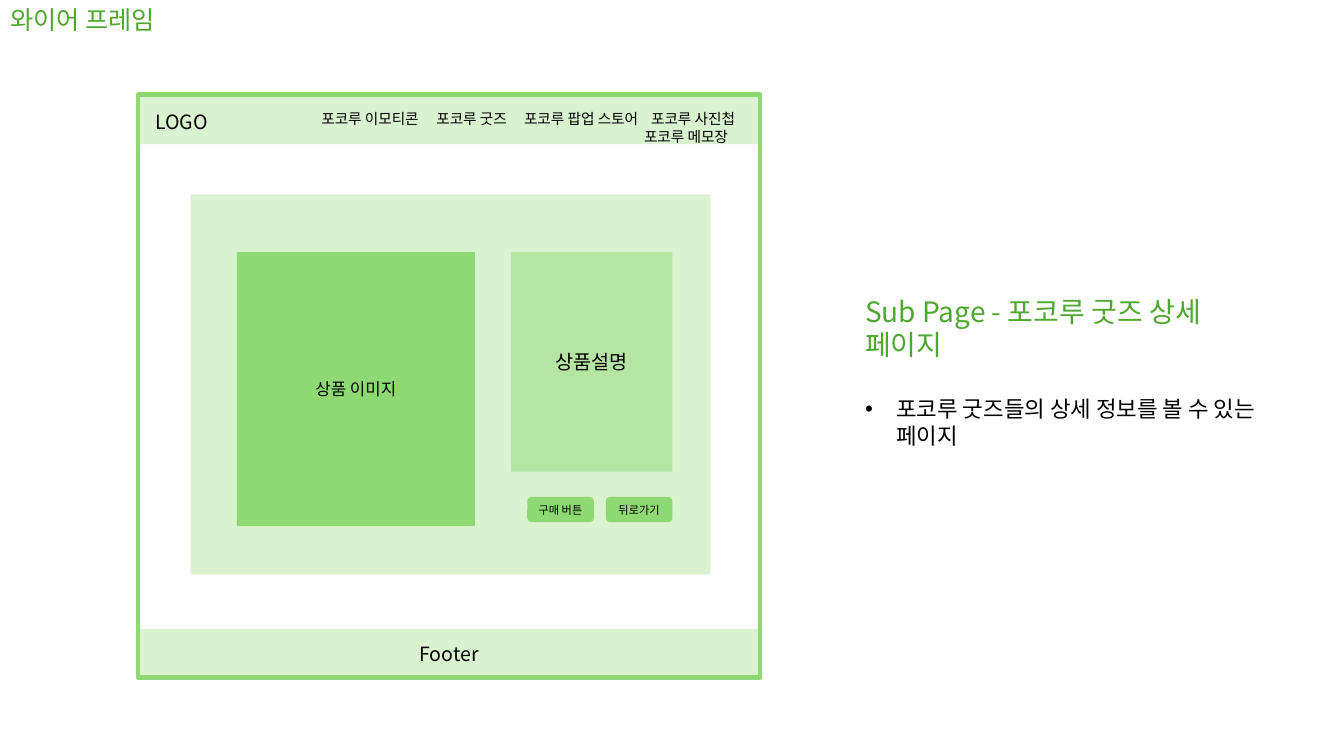
from lxml.etree import SubElement
from pptx import Presentation
from pptx.dml.color import RGBColor
from pptx.enum.shapes import MSO_SHAPE as Shape
from pptx.enum.text import MSO_ANCHOR as Anchor, MSO_AUTO_SIZE as AutoSize, PP_ALIGN as Align
from pptx.oxml.ns import qn
from pptx.util import Inches, Pt

FONT = "Noto Sans CJK KR"
BLACK, TITLE_GREEN = "000000", "4EA72E"
PALE, SOFT, STRONG = "D9F2D0", "B4E5A2", "8ED973"

# Menu rows: (label, tab position in inches)
MENU_ROWS = [
    [("포코루 이모티콘", 0.33), ("포코루 굿즈", 1.47), ("포코루 팝업 스토어", 2.34), ("포코루 사진첩", 3.6)],
    [("포코루 메모장", 3.53)],
]


def color(hex_string):
    return RGBColor.from_string(hex_string)


def write(paragraph, text, size, fill=BLACK, align=Align.LEFT, before=0):
    paragraph.alignment = align
    paragraph.line_spacing = 1.0
    paragraph.space_before = Pt(before)
    run = paragraph.add_run()
    run.text = text
    run.font.size = Pt(size)
    run.font.name = FONT
    run.font.color.rgb = color(fill)
    SubElement(run.font._element, qn("a:ea"), typeface=FONT)


def set_bullet(paragraph, char=None, indent=0):
    """Set a hanging bullet, or none when no character is given."""
    props = paragraph._p.get_or_add_pPr()
    props.set("marL", str(Inches(indent)))
    props.set("indent", str(-Inches(indent)))
    if char:
        SubElement(props, qn("a:buFont"), typeface="Arial")
        SubElement(props, qn("a:buChar"), char=char)
    else:
        SubElement(props, qn("a:buNone"))


def set_tabs(paragraph, positions):
    tabs = SubElement(paragraph._p.get_or_add_pPr(), qn("a:tabLst"))
    for position in positions:
        SubElement(tabs, qn("a:tab"), pos=str(Inches(position)), algn="l")


def place(placeholder, left, top, width, height):
    placeholder.left, placeholder.top = Inches(left), Inches(top)
    placeholder.width, placeholder.height = Inches(width), Inches(height)
    frame = placeholder.text_frame
    frame.word_wrap = True
    frame.auto_size = AutoSize.NONE
    frame.vertical_anchor = Anchor.TOP
    return frame


def add_block(slide, left, top, width, height, fill=None, outline=None,
              text=None, size=14, kind=Shape.RECTANGLE):
    block = slide.shapes.add_shape(kind, Inches(left), Inches(top), Inches(width), Inches(height))
    block.shadow.inherit = False
    if fill:
        block.fill.solid()
        block.fill.fore_color.rgb = color(fill)
    else:
        block.fill.background()
    if outline:
        block.line.color.rgb = color(outline)
        block.line.width = Pt(3.25)
    else:
        block.line.fill.background()
    if text:
        write(block.text_frame.paragraphs[0], text, size, align=Align.CENTER)


def add_label(slide, left, top, width, height):
    label = slide.shapes.add_textbox(Inches(left), Inches(top), Inches(width), Inches(height))
    label.text_frame.word_wrap = True
    return label.text_frame


def add_menu(slide):
    menu = add_label(slide, 2.76, 1.04, 4.73, 0.28)
    for index, row in enumerate(MENU_ROWS):
        line = menu.add_paragraph() if index else menu.paragraphs[0]
        write(line, "".join(f"\t{label}" for label, _ in row), 10.5)
        set_tabs(line, [position for _, position in row])


def add_page_frame(slide):
    left, top, width, height, band = 1.37, 0.94, 6.17, 5.78, 0.49
    add_block(slide, left, 6.24, width, band, PALE, text="Footer")
    add_block(slide, left, top, width, band, PALE)
    add_block(slide, left, top, width, height, outline=STRONG)
    logo = add_label(slide, 1.44, 1.04, 0.79, 0.34)
    write(logo.paragraphs[0], "LOGO", 14)


def add_product_panel(slide):
    add_block(slide, 1.89, 1.93, 5.16, 3.77, PALE)
    add_block(slide, 2.35, 2.5, 2.36, 2.72, STRONG, text="상품 이미지", size=12)
    add_block(slide, 5.07, 2.5, 1.6, 2.18, SOFT, text="상품설명")
    for index, caption in enumerate(["구매 버튼", "뒤로가기"]):
        add_block(slide, 5.23 + index * 0.78, 4.93, 0.66, 0.25, STRONG,
                  text=caption, size=8, kind=Shape.ROUNDED_RECTANGLE)


def fill_description(body):
    frame = place(body, 8.48, 2.87, 4.18, 1.7)
    heading = frame.paragraphs[0]
    write(heading, "Sub Page - 포코루 굿즈 상세 페이지", 20, TITLE_GREEN)
    set_bullet(heading)
    detail = frame.add_paragraph()
    write(detail, "포코루 굿즈들의 상세 정보를 볼 수 있는 페이지", 16, before=24)
    set_bullet(detail, "•", 0.31)


def main():
    deck = Presentation()
    deck.slide_width, deck.slide_height = Inches(13.33), Inches(7.5)
    slide = deck.slides.add_slide(deck.slide_layouts[1])
    title = place(slide.shapes.title, 0, -0.01, 1.95, 0.4)
    write(title.paragraphs[0], "와이어 프레임", 18, TITLE_GREEN)
    fill_description(slide.placeholders[1])
    add_page_frame(slide)
    add_product_panel(slide)
    add_menu(slide)
    deck.save("out.pptx")


if __name__ == "__main__":
    main()
